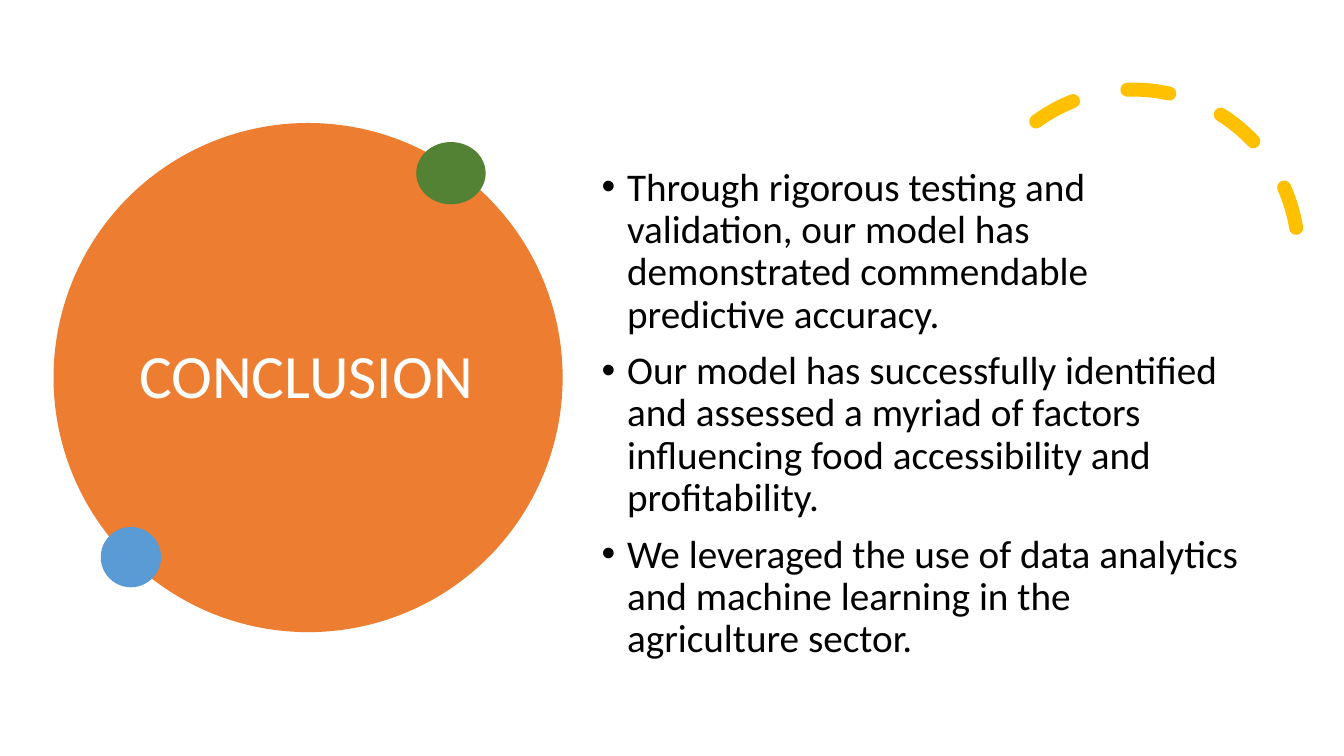
"""Build the conclusion slide: a titled disc, accent dots, a dashed arc and a list."""
from typing import NamedTuple

from lxml import etree
from pptx import Presentation
from pptx.dml.color import RGBColor
from pptx.enum.dml import MSO_LINE
from pptx.enum.shapes import MSO_SHAPE
from pptx.enum.text import MSO_ANCHOR, MSO_AUTO_SIZE, PP_ALIGN
from pptx.oxml.ns import qn
from pptx.util import Cm, Pt

OVAL, ARC = MSO_SHAPE.OVAL, MSO_SHAPE.ARC
DASH = MSO_LINE.DASH
LEFT = PP_ALIGN.LEFT
TOP, MIDDLE = MSO_ANCHOR.TOP, MSO_ANCHOR.MIDDLE
NO_AUTOFIT = MSO_AUTO_SIZE.NONE

FONT = "Calibri"
COLORS = {
    "disc": "ED7D31",
    "blue": "5B9BD5",
    "green": "548235",
    "arc": "FFC000",
    "title": "FFFFFF",
    "body": "000000",
}
FINDINGS = [
    "Through rigorous testing and validation, our model has demonstrated "
    "commendable predictive accuracy.",
    "Our model has successfully identified and assessed a myriad of factors "
    "influencing food accessibility and profitability.",
    "We leveraged the use of data analytics and machine learning in the "
    "agriculture sector.",
]


class Box(NamedTuple):
    """Position and size in centimetres."""

    left: float
    top: float
    width: float
    height: float


class Dot(NamedTuple):
    """A filled ellipse and its colour."""

    box: Box
    color: str


DISC = Dot(Box(1.35, 3.1, 12.83, 12.83), "disc")
ACCENTS = [
    Dot(Box(2.54, 13.28, 1.52, 1.52), "blue"),
    Dot(Box(10.49, 3.58, 1.75, 1.57), "green"),
]
ARC_BOX = Box(24.41, 2.26, 8.31, 8.31)
TITLE_BOX = Box(3.25, 3.89, 8.99, 11.3)
BODY_BOX = Box(14.91, 4.09, 16.84, 14.22)


def rgb(name: str) -> RGBColor:
    """Look up a named colour."""
    return RGBColor.from_string(COLORS[name])


def lengths(box: Box) -> list:
    """Convert a box to slide lengths."""
    return [Cm(value) for value in box]


def add_dot(slide, dot: Dot) -> None:
    """Draw one filled ellipse."""
    ellipse = slide.shapes.add_shape(OVAL, *lengths(dot.box))
    ellipse.shadow.inherit = False
    ellipse.fill.solid()
    ellipse.fill.fore_color.rgb = rgb(dot.color)
    ellipse.line.fill.background()


def add_dashed_arc(slide, box: Box) -> None:
    """Draw the thick dashed arc with round caps."""
    arc = slide.shapes.add_shape(ARC, *lengths(box))
    arc.shadow.inherit = False
    arc.adjustments[0], arc.adjustments[1] = 158.17, 17.81
    arc.rotation = 330.2
    arc.fill.background()
    arc.line.color.rgb = rgb("arc")
    arc.line.width = Pt(10)
    arc.line.dash_style = DASH
    outline = arc.line._get_or_add_ln()
    outline.set("cap", "rnd")
    etree.SubElement(outline, qn("a:round"))


def write(placeholder, box: Box, paragraphs: list[str], *, size: float,
          color: str, anchor=TOP, space_before: float = 0,
          indent: float = 0) -> None:
    """Move a placeholder and fill it with formatted paragraphs."""
    (placeholder.left, placeholder.top,
     placeholder.width, placeholder.height) = lengths(box)
    frame = placeholder.text_frame
    frame.word_wrap = True
    frame.auto_size = NO_AUTOFIT
    frame.vertical_anchor = anchor
    frame.text = "\n".join(paragraphs)
    for paragraph in frame.paragraphs:
        paragraph.alignment = LEFT
        paragraph.line_spacing = 0.9
        paragraph.space_before = Pt(space_before)
        paragraph.font.size = Pt(size)
        paragraph.font.name = FONT
        paragraph.font.color.rgb = rgb(color)
        if indent:
            properties = paragraph._p.get_or_add_pPr()
            properties.set("marL", str(Cm(indent)))
            properties.set("indent", str(-Cm(indent)))


def main() -> None:
    """Assemble and save the slide."""
    deck = Presentation()
    deck.slide_width, deck.slide_height = Cm(33.87), Cm(19.05)
    slide = deck.slides.add_slide(deck.slide_layouts[1])
    title, body = slide.placeholders

    add_dot(slide, DISC)
    slide.shapes._spTree.append(title._element)
    add_dashed_arc(slide, ARC_BOX)
    write(title, TITLE_BOX, ["CONCLUSION"], size=44, color="title",
          anchor=MIDDLE)
    write(body, BODY_BOX, FINDINGS, size=28, color="body", space_before=10,
          indent=0.64)
    for dot in ACCENTS:
        add_dot(slide, dot)
    deck.save("out.pptx")


main()
